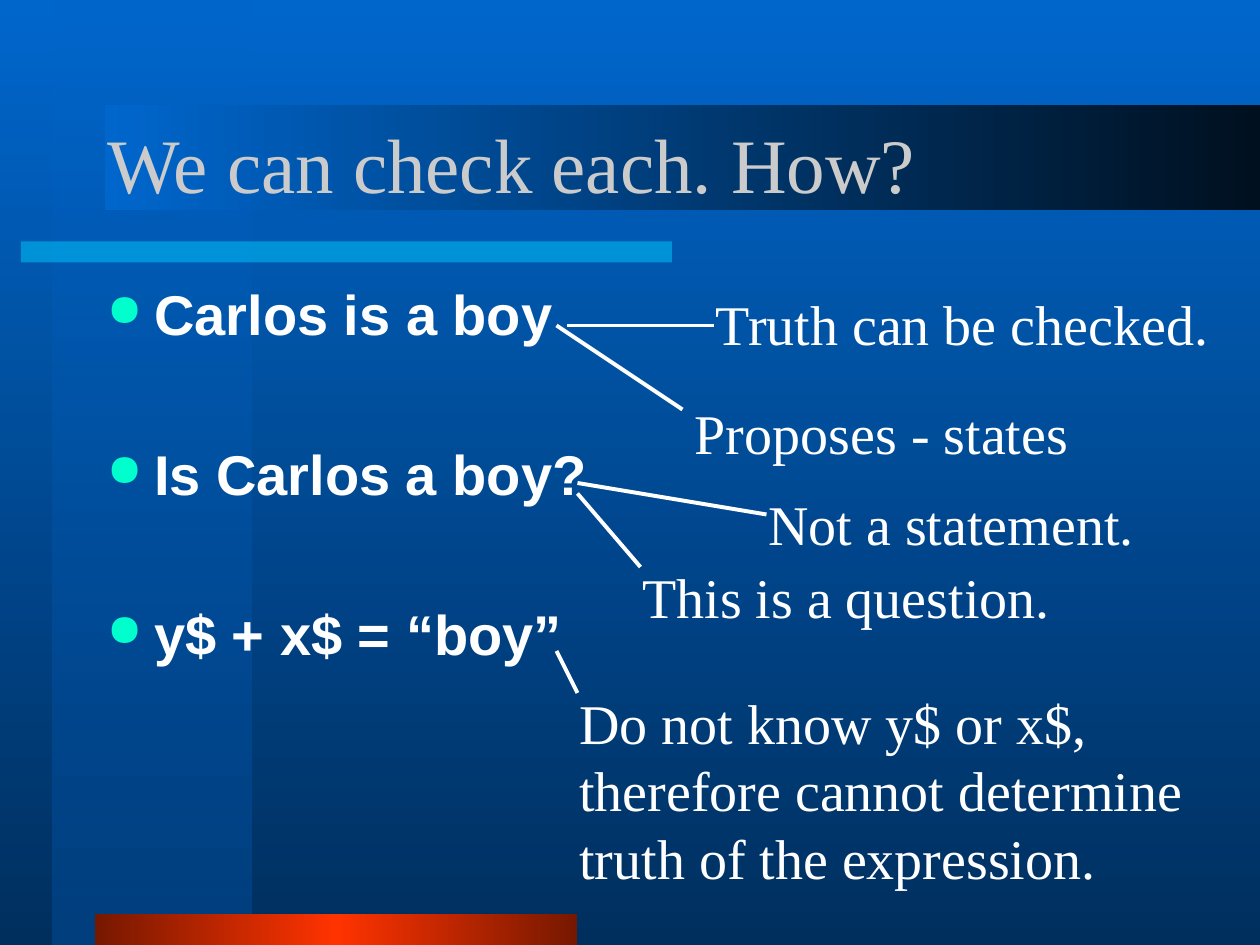
from typing import NamedTuple

from lxml.etree import SubElement
from pptx import Presentation
from pptx.dml.color import RGBColor
from pptx.enum.shapes import MSO_CONNECTOR, MSO_SHAPE
from pptx.enum.text import MSO_ANCHOR, MSO_AUTO_SIZE, PP_ALIGN
from pptx.oxml.ns import qn
from pptx.util import Emu, Pt

EMU_PER_PX = 9525
WHITE = RGBColor(0xFF, 0xFF, 0xFF)
SILVER = RGBColor(0xCB, 0xCB, 0xCB)
MINT = RGBColor(0x00, 0xFF, 0xCC)
CYAN = RGBColor(0x00, 0xCC, 0xFF)
BLUE = RGBColor(0x00, 0x66, 0xCC)
DEEP_BLUE = RGBColor(0x00, 0x3F, 0x7E)
NAVY = RGBColor(0x00, 0x2F, 0x5E)
MIDNIGHT = RGBColor(0x00, 0x10, 0x1F)
RED = RGBColor(0xFF, 0x33, 0x00)
MAROON = RGBColor(0x76, 0x18, 0x00)


class Box(NamedTuple):
    left: int
    top: int
    width: int
    height: int


class Stop(NamedTuple):
    percent: int
    color: RGBColor
    alpha: int = 100


class Band(NamedTuple):
    box: Box
    stops: tuple[Stop, ...]
    angle: int = 0


class Note(NamedTuple):
    text: str
    box: Box


class Pointer(NamedTuple):
    start: tuple[int, int]
    end: tuple[int, int]


BANDS = (
    Band(Box(40, 0, 152, 720), (Stop(0, BLUE, 50), Stop(100, DEEP_BLUE)), 90),
    Band(Box(16, 184, 496, 16), (Stop(0, CYAN, 50),)),
    Band(Box(72, 696, 368, 24), (Stop(0, MAROON), Stop(50, RED), Stop(100, MAROON))),
    Band(Box(80, 80, 880, 80), (Stop(0, BLUE), Stop(100, MIDNIGHT))),
)
STATEMENTS = ("Carlos is a boy", "Is Carlos a boy?", "y$ + x$ = “boy”")
POINTERS = (
    Pointer((424, 248), (520, 312)),
    Pointer((432, 248), (544, 248)),
    Pointer((440, 368), (584, 392)),
    Pointer((440, 376), (488, 432)),
    Pointer((424, 496), (440, 528)),
)
NOTES = (
    Note("Truth can be checked.", Box(536, 216, 424, 61)),
    Note(
        "Do not know y$ or x$, therefore cannot determine truth of the expression.",
        Box(432, 520, 488, 215),
    ),
    Note("This is a question.", Box(480, 424, 336, 61)),
    Note("Not a statement.", Box(576, 368, 320, 61)),
    Note("Proposes - states", Box(520, 299, 344, 61)),
)


def px(length: int) -> Emu:
    return Emu(length * EMU_PER_PX)


def place(shape, box: Box) -> None:
    shape.left, shape.top, shape.width, shape.height = map(px, box)


def add_color(parent, color: RGBColor, alpha: int = 100) -> None:
    element = SubElement(parent, qn("a:srgbClr"), val=str(color))
    if alpha < 100:
        SubElement(element, qn("a:alpha"), val=str(alpha * 1000))


def set_gradient(fill, owner, stops: tuple[Stop, ...], angle: int) -> None:
    """Fill with stops; the angle runs clockwise, 0 being left to right."""
    fill.gradient()
    gradient = owner.find(".//" + qn("a:gradFill"))
    stop_list = gradient.find(qn("a:gsLst"))
    for old_stop in list(stop_list):
        stop_list.remove(old_stop)
    for stop in stops:
        element = SubElement(stop_list, qn("a:gs"), pos=str(stop.percent * 1000))
        add_color(element, stop.color, stop.alpha)
    gradient.find(qn("a:lin")).set("ang", str(angle * 60000))


def add_band(slide, band: Band) -> None:
    shape = slide.shapes.add_shape(MSO_SHAPE.RECTANGLE, *map(px, band.box))
    shape.shadow.inherit = False
    shape.line.fill.background()
    if len(band.stops) > 1:
        set_gradient(shape.fill, shape.element, band.stops, band.angle)
        return
    stop = band.stops[0]
    shape.fill.solid()
    solid = shape.element.spPr.find(qn("a:solidFill"))
    for old_color in list(solid):
        solid.remove(old_color)
    add_color(solid, stop.color, stop.alpha)


def add_bullet(paragraph) -> None:
    properties = paragraph._p.get_or_add_pPr()
    properties.set("marL", str(px(36)))
    properties.set("indent", str(px(-36)))
    add_color(SubElement(properties, qn("a:buClr")), MINT)
    SubElement(properties, qn("a:buSzPct"), val="80000")
    SubElement(properties, qn("a:buChar"), char="●")


def write_text(
    shape,
    *lines: str,
    font: str = "Times New Roman",
    size: int = 32,
    color: RGBColor = WHITE,
    bold: bool = False,
    bulleted: bool = False,
    gap: int = 0,
    anchor: MSO_ANCHOR = MSO_ANCHOR.TOP,
) -> None:
    frame = shape.text_frame
    frame.word_wrap = True
    frame.auto_size = MSO_AUTO_SIZE.NONE
    frame.vertical_anchor = anchor
    for index, line in enumerate(lines):
        paragraph = frame.paragraphs[0] if index == 0 else frame.add_paragraph()
        paragraph.alignment = PP_ALIGN.LEFT
        paragraph.space_before = Pt(gap if index else 0)
        if bulleted:
            add_bullet(paragraph)
        run = paragraph.add_run()
        run.text = line
        run.font.name = font
        run.font.size = Pt(size)
        run.font.bold = bold
        run.font.color.rgb = color


def add_text(slide, box: Box, *lines: str, **text_format) -> None:
    write_text(slide.shapes.add_textbox(*map(px, box)), *lines, **text_format)


def add_pointer(slide, pointer: Pointer) -> None:
    connector = slide.shapes.add_connector(
        MSO_CONNECTOR.STRAIGHT, *map(px, pointer.start + pointer.end)
    )
    connector.line.color.rgb = WHITE
    connector.line.width = Pt(2.25)
    SubElement(connector._element.spPr, qn("a:effectLst"))


def main() -> None:
    presentation = Presentation()
    presentation.slide_width, presentation.slide_height = px(960), px(720)
    slide = presentation.slides.add_slide(presentation.slide_layouts[5])
    backdrop = (Stop(0, BLUE), Stop(100, NAVY))
    set_gradient(slide.background.fill, slide.element, backdrop, 90)
    for band in BANDS:
        add_band(slide, band)

    title = slide.shapes.title
    slide.shapes.element.append(title.element)  # in front of the bands
    place(title, Box(72, 64, 816, 120))
    write_text(title, "We can check each. How?", size=44, color=SILVER,
               anchor=MSO_ANCHOR.MIDDLE)
    add_text(slide, Box(72, 208, 816, 432), *STATEMENTS,
             font="Arial", bold=True, bulleted=True, gap=53)
    for pointer in POINTERS:
        add_pointer(slide, pointer)
    for note in NOTES:
        add_text(slide, note.box, note.text)
    presentation.save("out.pptx")


if __name__ == "__main__":
    main()
